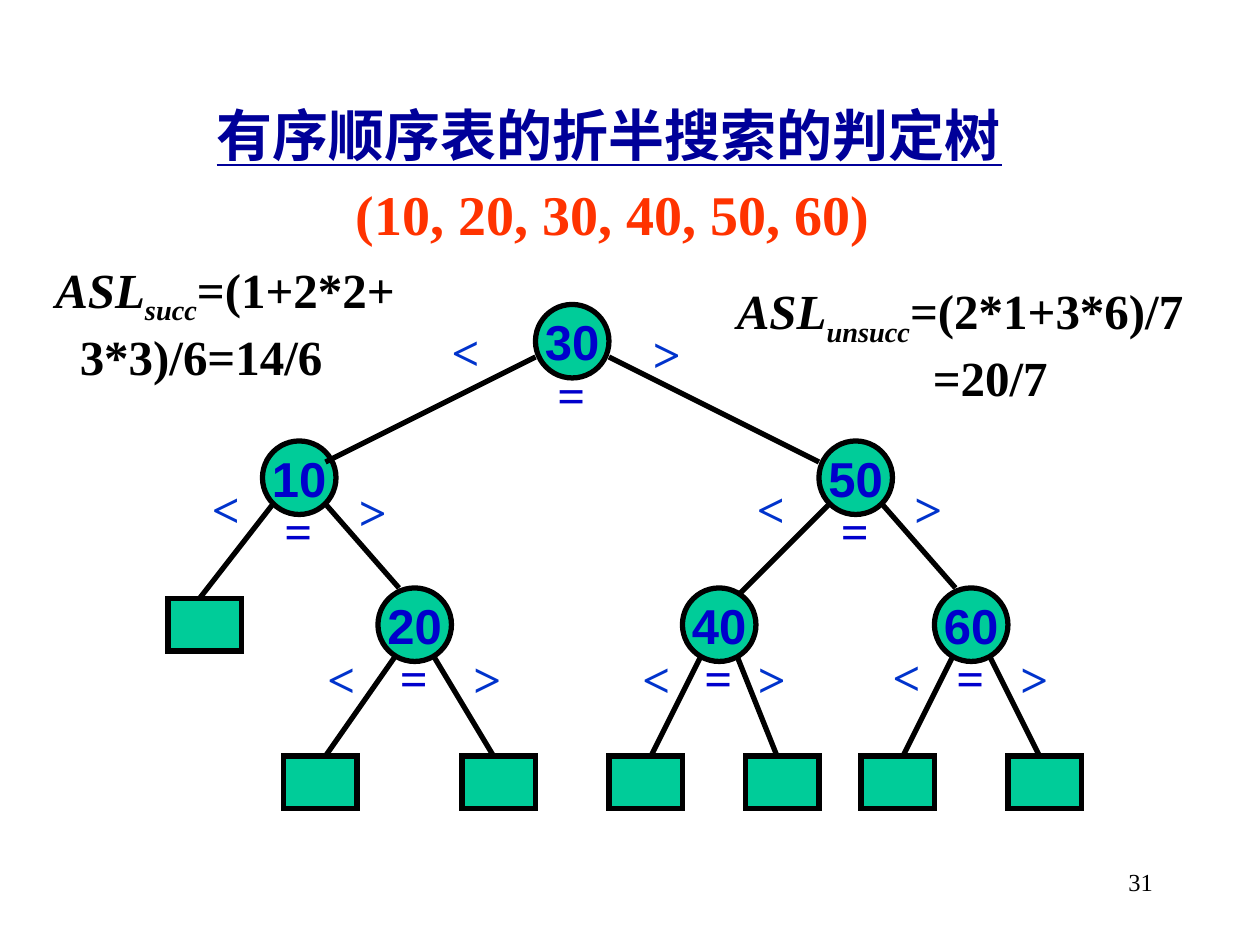
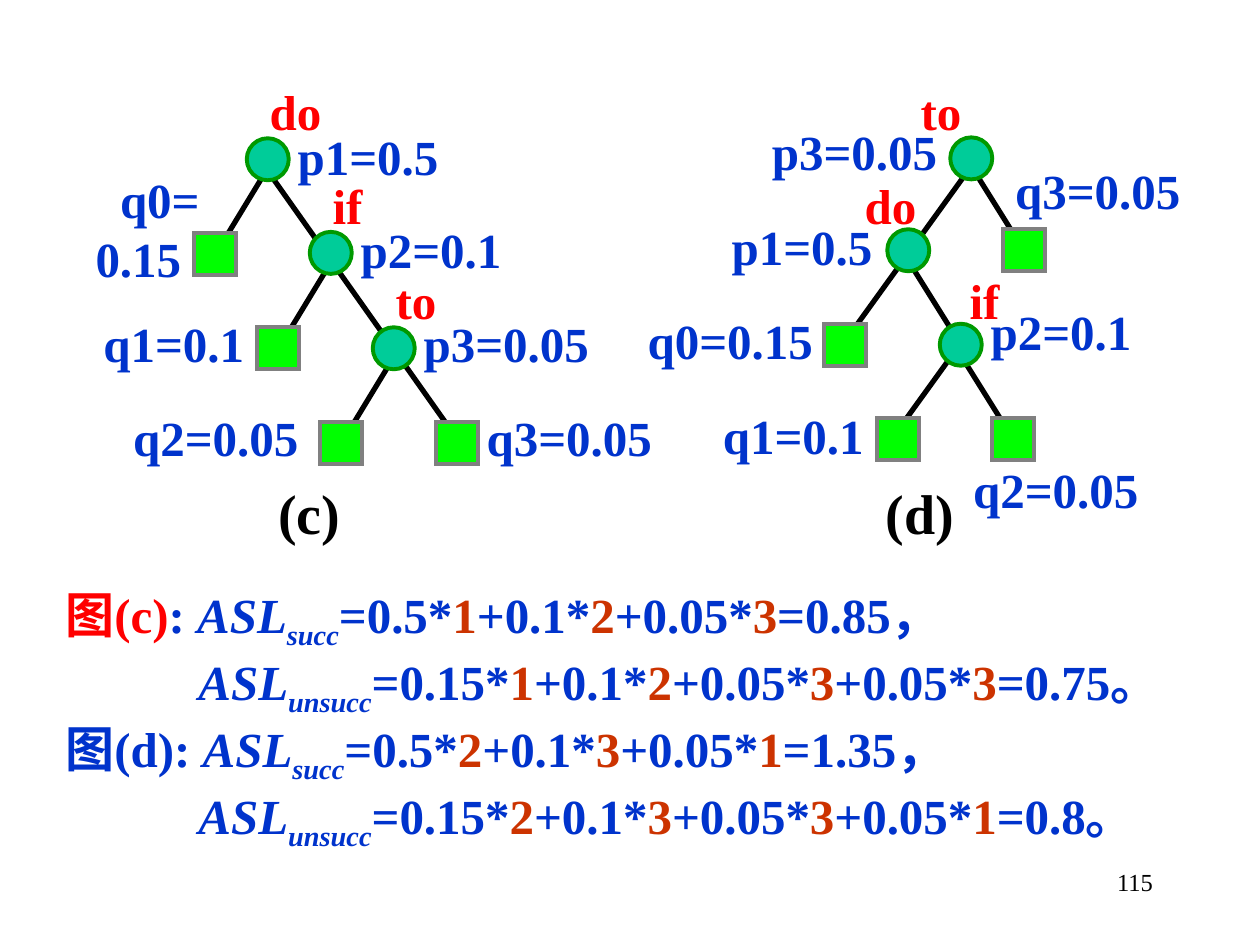
from lxml import etree
from pptx import Presentation
from pptx.dml.color import RGBColor
from pptx.enum.shapes import MSO_CONNECTOR, MSO_SHAPE
from pptx.enum.text import MSO_ANCHOR, MSO_AUTO_SIZE, PP_ALIGN
from pptx.oxml.ns import qn
from pptx.util import Pt

LINE = MSO_CONNECTOR.STRAIGHT
OVAL, RECT = MSO_SHAPE.OVAL, MSO_SHAPE.RECTANGLE
MIDDLE = MSO_ANCHOR.MIDDLE
GROW, FIXED = MSO_AUTO_SIZE.SHAPE_TO_FIT_TEXT, MSO_AUTO_SIZE.NONE
LEFT, MID, RIGHT = PP_ALIGN.LEFT, PP_ALIGN.CENTER, PP_ALIGN.RIGHT

SERIF, SANS = "Times New Roman", "Arial"
HUES = {
    "black": "000000", "navy": "000099", "orange": "FF3300",
    "ink": "0000CC", "blue": "0033CC", "red": "FF0000", "rust": "CC3300",
    "teal": "00CC99", "lime": "00FF00", "green": "009900", "grey": "808080",
}


def hue(name):
    return RGBColor.from_string(HUES[name])


class Deck:
    def __init__(self):
        self.file = Presentation()
        self.file.slide_width, self.file.slide_height = Pt(720), Pt(540)
        self.slide = None

    def page(self, number):
        """Start a blank slide with its number in the lower right corner."""
        self.slide = self.file.slides.add_slide(self.file.slide_layouts[6])
        frame = self.box(516, 492, 150, 36, wrap=True, fit=FIXED)
        self.run(self.para(frame, RIGHT), number, "black", 14, bold=False)

    def box(self, x, y, wide, high, wrap=False, fit=GROW):
        shape = self.slide.shapes.add_textbox(Pt(x), Pt(y), Pt(wide), Pt(high))
        frame = shape.text_frame
        frame.word_wrap, frame.auto_size = wrap, fit
        return frame

    def para(self, frame, align=LEFT, indent=0, before=0):
        """Return the empty first paragraph, or a new one after the others."""
        par = frame.paragraphs[0]
        if par.runs:
            par = frame.add_paragraph()
        par.alignment = align
        if indent:
            par._p.get_or_add_pPr().set("marL", str(Pt(indent)))
        if before:
            par.space_before = Pt(before)
        return par

    def run(self, par, text, color, size=28, font=SERIF, bold=True,
            slant=False, sub=False, under=False):
        run = par.add_run()
        run.text = text
        style = run.font
        style.name, style.size, style.bold = font, Pt(size), bold
        style.color.rgb = hue(color)
        if slant:
            style.italic = True
        if under:
            style.underline = True
        if sub:
            run._r.get_or_add_rPr().set("baseline", "-25000")

    def label(self, text, x, y, wide, color, size=28, high=41):
        self.run(self.para(self.box(x, y, wide, high)), text, color, size)

    def asl(self, par, kind, color):
        """Write ASL with its subscript."""
        self.run(par, "ASL", color, slant=True)
        self.run(par, kind, color, slant=True, sub=True)

    def node(self, kind, x, y, wide, high, fill, edge, weight, text=""):
        """Draw a filled shape with sharp corners and a centred key."""
        shape = self.slide.shapes.add_shape(kind, Pt(x), Pt(y), Pt(wide), Pt(high))
        shape.shadow.inherit = False
        shape.fill.solid()
        shape.fill.fore_color.rgb = hue(fill)
        shape.line.color.rgb = hue(edge)
        shape.line.width = Pt(weight)
        outline = shape._element.spPr.find(qn("a:ln"))
        etree.SubElement(outline, qn("a:miter"), lim="800000")
        if text:
            frame = shape.text_frame
            frame.word_wrap, frame.vertical_anchor = False, MIDDLE
            self.run(self.para(frame, MID), text, "ink", font=SANS)

    def line(self, x1, y1, x2, y2):
        link = self.slide.shapes.add_connector(LINE, Pt(x1), Pt(y1), Pt(x2), Pt(y2))
        link.line.color.rgb = hue("black")
        link.line.width = Pt(3)
        etree.SubElement(link._element.spPr, qn("a:effectLst"))


def search_tree(deck):
    deck.page("31")
    head = deck.box(60, 54, 583, 96, wrap=True, fit=FIXED)
    head.margin_right = Pt(14)
    deck.run(deck.para(head, MID), "有序顺序表的折半搜索的判定树", "navy", 32, under=True)
    deck.run(deck.para(head, indent=136, before=6.4),
             "(10, 20, 30, 40, 50, 60)", "orange", 32)

    # key, corner, inset and drop of the two branches, their ends, places of < and >
    upper = [
        ("30", 306, 174, 0, 30, (186, 264), (468, 264), (251, 180), (366, 181.5)),
        ("10", 150, 252, 6, 36, (114, 342), (228, 336), (114, 270), (198, 271.5)),
        ("50", 468, 252, 6, 36, (420, 342), (546, 336), (425.5, 270), (515.5, 270)),
    ]
    lower = [
        ("20", 216, 336, 12, 36, (186, 432), (282, 432), (180, 367), (263.5, 367)),
        ("40", 390, 336, 12, 36, (372, 432), (444, 432), (360, 367), (426, 367)),
        ("60", 534, 336, 12, 36, (516, 432), (594, 432), (503, 366), (576, 367)),
    ]

    def disks(row):
        for key, x, y, *_ in row:
            deck.node(OVAL, x, y, 42, 42, "teal", "black", 3, key)

    leaves = [(96, 342)] + [(x, 432) for x in (162, 264, 348, 426, 492, 576)]
    for x, y in leaves:
        deck.node(RECT, x, y, 42, 30, "teal", "black", 3)
    disks(upper)
    for _, x, y, inset, drop, left, right, less, more in upper + lower:
        deck.line(x + inset, y + drop, *left)
        deck.line(x + 42 - inset, y + drop, *right)
        deck.label("=", x + 5.5, y + 30.5, 30, "ink")
        deck.label("<", *less, 30, "blue")
        deck.label(">", *more, 30, "blue")
    disks(lower)

    sums = [
        ("unsucc", "=(2*1+3*6)/7", "=20/7", 112, (414, 157, 280, 75), False),
        ("succ", "=(1+2*2+", "3*3)/6=14/6", 14, (24.5, 144.7, 228, 74), True),
    ]
    for kind, start, rest, indent, place, wrap in sums:
        frame = deck.box(*place, wrap=wrap)
        par = deck.para(frame)
        deck.asl(par, kind, "black")
        deck.run(par, start, "black")
        deck.run(deck.para(frame, indent=indent), rest, "black")


def word_trees(deck):
    deck.page("115")
    lines = [
        (152.5, 97, 123, 145.5), (188.5, 151, 159, 199.5),
        (224.5, 205, 195, 253.5), (152.5, 97, 267, 259),
        (555, 95, 585, 143), (519, 149, 549, 197), (549, 203, 579, 251),
        (555, 95, 489, 186.5), (543, 204.5, 513, 246),
    ]
    ovals = [(141, 79), (177, 132.5), (213, 187),
             (543, 78.5), (507, 131), (537, 185)]
    leaves = [(111, 133), (147, 187), (183, 241), (249, 241),
              (573, 131), (471, 185), (501, 239), (567, 239)]
    for ends in lines:
        deck.line(*ends)
    for x, y in ovals:
        deck.node(OVAL, x, y, 24, 24, "teal", "green", 2.25)
    for x, y in leaves:
        deck.node(RECT, x, y, 24, 24, "lime", "grey", 2.25)

    words = [
        ("do", 147, 43, 44), ("if", 183, 97, 32), ("to", 219, 151, 38),
        ("to", 519, 43, 38), ("do", 487, 96.5, 44), ("if", 547, 151, 32),
    ]
    odds = [
        ("p1=0.5", 163, 68.5), ("p2=0.1", 199, 122), ("p3=0.05", 235, 175.5),
        ("q1=0.1", 52, 175.5), ("q2=0.05", 69, 229.5), ("q3=0.05", 271, 229.5),
        ("p3=0.05", 434, 66), ("p1=0.5", 411, 120), ("p2=0.1", 559, 169),
        ("q3=0.05", 573, 88), ("q0=0.15", 363, 174), ("q1=0.1", 406, 228),
        ("q2=0.05", 549, 259),
    ]
    for word, x, y, wide in words:
        deck.label(word, x, y, wide, "red")
    for odd, x, y in odds:
        deck.label(odd, x, y, 95 if len(odd) < 7 else 109.5, "blue")
    frame = deck.box(47.5, 93.5, 74, 74)
    deck.run(deck.para(frame, indent=14), "q0=", "blue")
    deck.run(deck.para(frame), "0.15", "blue")
    for name, x, wide in (("(c)", 152, 52), ("(d)", 499, 56)):
        deck.label(name, x, 270, wide, "black", 32, 45)

    # every second piece of a sum is a level, set in its own colour
    sums = [
        ("图(c)", "red", ": ", "succ", "=0.5*|1|+0.1*|2|+0.05*|3|=0.85，"),
        ("", "", "", "unsucc", "=0.15*|1|+0.1*|2|+0.05*|3|+0.05*|3|=0.75。"),
        ("图(d)", "blue", ": ", "succ", "=0.5*|2|+0.1*|3|+0.05*|1|=1.35，"),
        ("", "", "", "unsucc", "=0.15*|2|+0.1*|3|+0.05*|3|+0.05*|1|=0.8。"),
    ]
    frame = deck.box(30.3, 330.5, 689.7, 148, wrap=True, fit=FIXED)
    for name, color, colon, kind, terms in sums:
        par = deck.para(frame, indent=0 if name else 76)
        if name:
            deck.run(par, name, color)
            deck.run(par, colon, "blue")
        deck.asl(par, kind, "blue")
        for spot, term in enumerate(terms.split("|")):
            deck.run(par, term, "rust" if spot % 2 else "blue")


def main():
    deck = Deck()
    search_tree(deck)
    word_trees(deck)
    deck.file.save("out.pptx")


if __name__ == "__main__":
    main()
